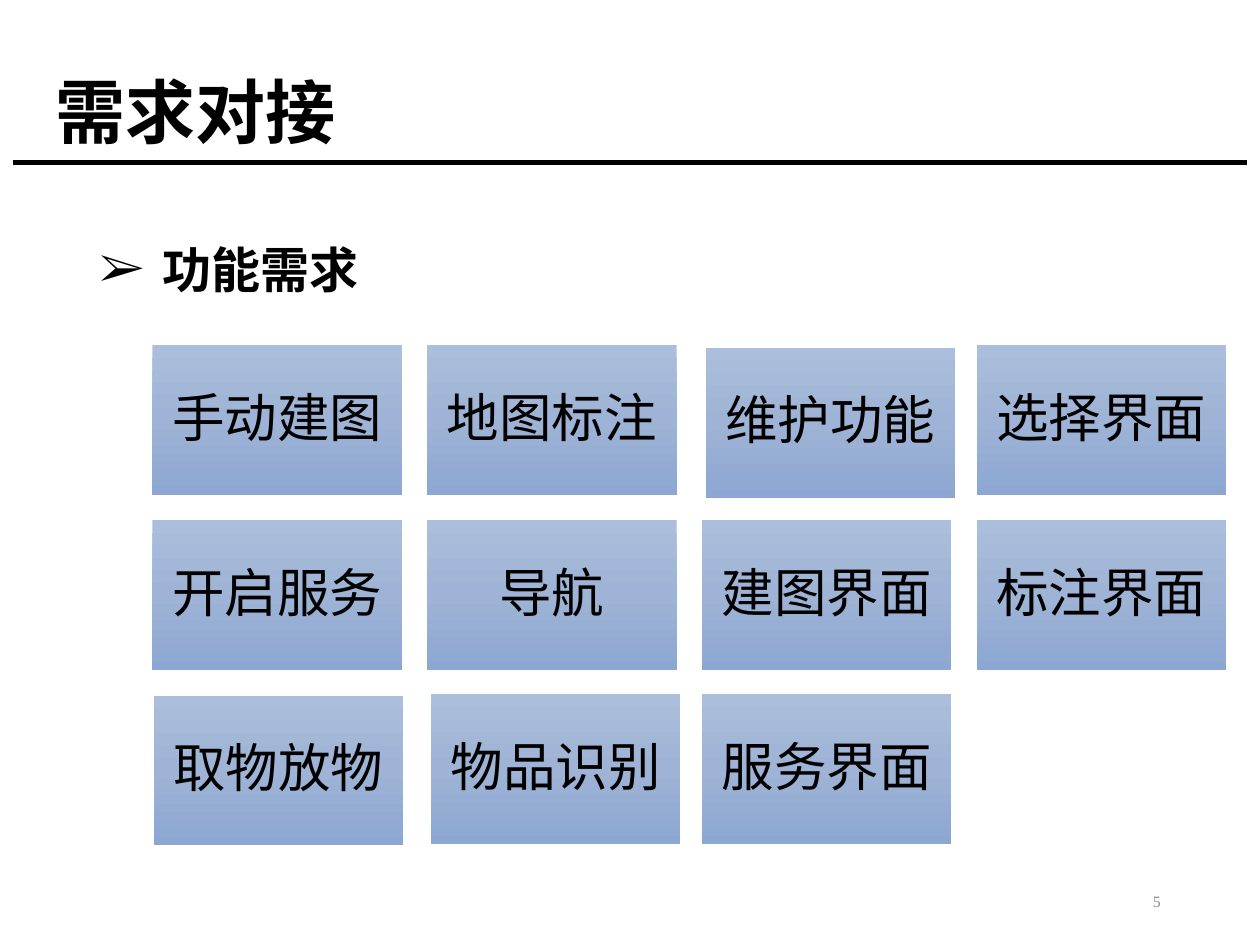
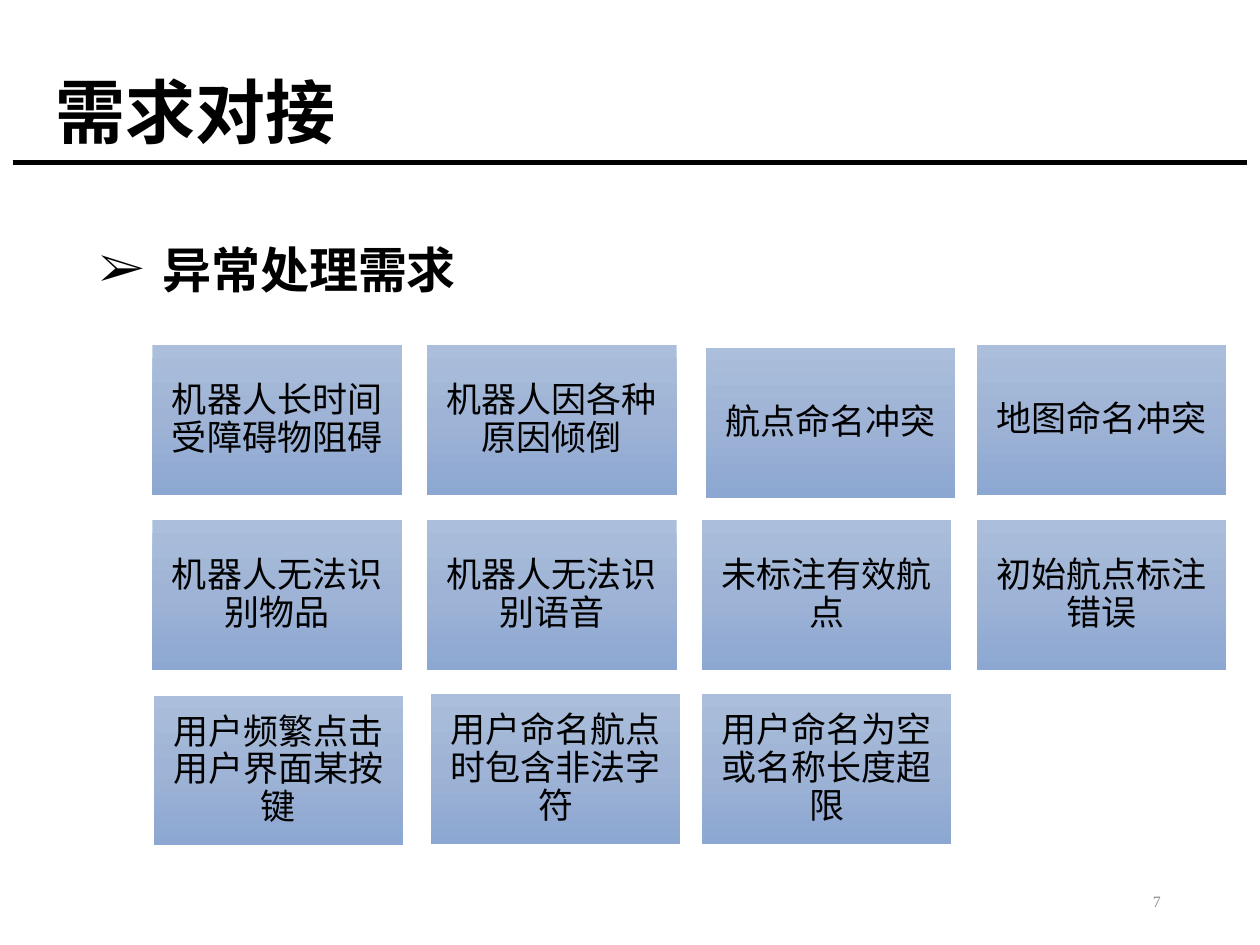
import copy
from dataclasses import dataclass

import lxml.etree
import pptx
import pptx.dml.color
import pptx.enum.shapes
import pptx.enum.text
import pptx.oxml.ns
import pptx.util

Inches = pptx.util.Inches
Pt = pptx.util.Pt
qn = pptx.oxml.ns.qn
ALIGN = pptx.enum.text.PP_ALIGN
MIDDLE = pptx.enum.text.MSO_ANCHOR.MIDDLE


@dataclass(frozen=True)
class Theme:
    ink: str = "000000"
    number_grey: str = "8C8C8C"
    card_gradient: tuple = ("ABBEDB", "9EB3D5", "8CA7D2")
    title_font: str = "Calibri"
    body_font: str = "Times New Roman"
    title_size: int = 40
    heading_size: int = 28
    number_size: int = 9
    rule_width: int = 3


THEME = Theme()

TITLE_BOX = (0.34, 0.39, 8.62, 1.06)
HEADING_BOX = (0.69, 1.62, 8.62, 5.01)
NUMBER_BOX = (7.06, 6.95, 2.25, 0.4)
GRID_BOX = (1.21, 2.74, 8.52, 3.97)
GRID_ROWS, GRID_COLUMNS = 3, 4
CARD_WIDTH, CARD_HEIGHT = 1.98, 1.19
# Small shifts off the even grid, by (row, column)
NUDGES = {(0, 2): (0.03, 0.02), (2, 0): (0.01, 0),
          (2, 1): (0.03, -0.01), (2, 2): (0, -0.01)}

SLIDES = [
    dict(number="5", heading="功能需求", size=30, inset=0.12, rows=[
        ["手动建图", "地图标注", "维护功能", "选择界面"],
        ["开启服务", "导航", "建图界面", "标注界面"],
        ["取物放物", "物品识别", "服务界面"],
    ]),
    dict(number="7", heading="异常处理需求", size=20, inset=0.08, rows=[
        ["机器人长时间受障碍物阻碍", "机器人因各种原因倾倒", "航点命名冲突", "地图命名冲突"],
        ["机器人无法识别物品", "机器人无法识别语音", "未标注有效航点", "初始航点标注错误"],
        ["用户频繁点击用户界面某按键", "用户命名航点时包含非法字符", "用户命名为空或名称长度超限"],
    ]),
]


def rgb(value):
    return pptx.dml.color.RGBColor.from_string(value)


def inches(box):
    return [Inches(v) for v in box]


def write(tf, text, size, align=ALIGN.LEFT, spacing=1.0, font=THEME.body_font,
          color=THEME.ink, bold=False):
    """Fill the first paragraph with one styled run and return the paragraph."""
    tf.word_wrap = True
    p = tf.paragraphs[0]
    p.alignment = align
    p.line_spacing = spacing
    r = p.add_run()
    r.text = text
    r.font.name = font
    r.font.size = Pt(size)
    r.font.bold = bold
    r.font.color.rgb = rgb(color)
    return p


def add_title(s, text, box):
    title = s.shapes.title
    title.left, title.top, title.width, title.height = inches(box)
    tf = title.text_frame
    tf.vertical_anchor = MIDDLE
    write(tf, text, THEME.title_size, spacing=0.9, font=THEME.title_font, bold=True)


def add_title_rule(s):
    y = Inches(1.29)
    rule = s.shapes.add_connector(pptx.enum.shapes.MSO_CONNECTOR.STRAIGHT,
                                  Inches(0.1), y, Inches(9.9), y)
    rule.line.color.rgb = rgb(THEME.ink)
    rule.line.width = Pt(THEME.rule_width)
    lxml.etree.SubElement(rule.element.spPr, qn("a:effectLst"))


def add_heading(s, text, box):
    tf = s.shapes.add_textbox(*inches(box)).text_frame
    p = write(tf, text, THEME.heading_size, spacing=1.5, bold=True)
    p.space_before = Pt(7.5)
    pPr = p._p.get_or_add_pPr()
    pPr.set("marL", str(Inches(0.5)))
    pPr.set("indent", str(-Inches(0.5)))
    lxml.etree.SubElement(pPr, qn("a:buFont"), typeface=THEME.body_font)
    lxml.etree.SubElement(pPr, qn("a:buChar"), char="➢")


def add_slide_number(s, number, box):
    tf = s.shapes.add_textbox(*inches(box)).text_frame
    tf.vertical_anchor = MIDDLE
    write(tf, number, THEME.number_size, ALIGN.RIGHT, color=THEME.number_grey)


def fill_gradient(shape, colors):
    """Fill from top to bottom with three evenly spaced colours."""
    shape.fill.gradient()
    shape.fill.gradient_angle = 270
    stop_list = shape.element.spPr.find(".//" + qn("a:gsLst"))
    stop_list.insert(1, copy.deepcopy(stop_list[0]))
    for i, (stop, color) in enumerate(zip(shape.fill.gradient_stops, colors)):
        stop.position = i / 2
        stop.color.rgb = rgb(color)


def add_card(s, text, box, size, inset):
    card = s.shapes.add_shape(pptx.enum.shapes.MSO_SHAPE.RECTANGLE, *inches(box))
    card.shadow.inherit = False
    card.line.fill.background()
    fill_gradient(card, THEME.card_gradient)
    tf = card.text_frame
    tf.vertical_anchor = MIDDLE
    tf.margin_left = tf.margin_right = tf.margin_top = tf.margin_bottom = Inches(inset)
    write(tf, text, size, ALIGN.CENTER, spacing=0.9)


def add_card_grid(s, rows, box, size, inset):
    left, top, width, height = box
    step_x = (width - CARD_WIDTH) / (GRID_COLUMNS - 1)
    step_y = (height - CARD_HEIGHT) / (GRID_ROWS - 1)
    for i, row in enumerate(rows):
        for j, text in enumerate(row):
            dx, dy = NUDGES.get((i, j), (0, 0))
            card_box = (left + j * step_x + dx, top + i * step_y + dy,
                        CARD_WIDTH, CARD_HEIGHT)
            add_card(s, text, card_box, size, inset)


def add_requirements_slide(prs, number, heading, rows, size, inset):
    s = prs.slides.add_slide(prs.slide_layouts.get_by_name("Title Only"))
    add_title_rule(s)
    add_title(s, "需求对接", TITLE_BOX)
    add_heading(s, heading, HEADING_BOX)
    add_slide_number(s, number, NUMBER_BOX)
    add_card_grid(s, rows, GRID_BOX, size, inset)


def main():
    prs = pptx.Presentation()
    prs.slide_width, prs.slide_height = Inches(10), Inches(7.5)
    for content in SLIDES:
        add_requirements_slide(prs, **content)
    prs.save("out.pptx")


if __name__ == "__main__":
    main()
